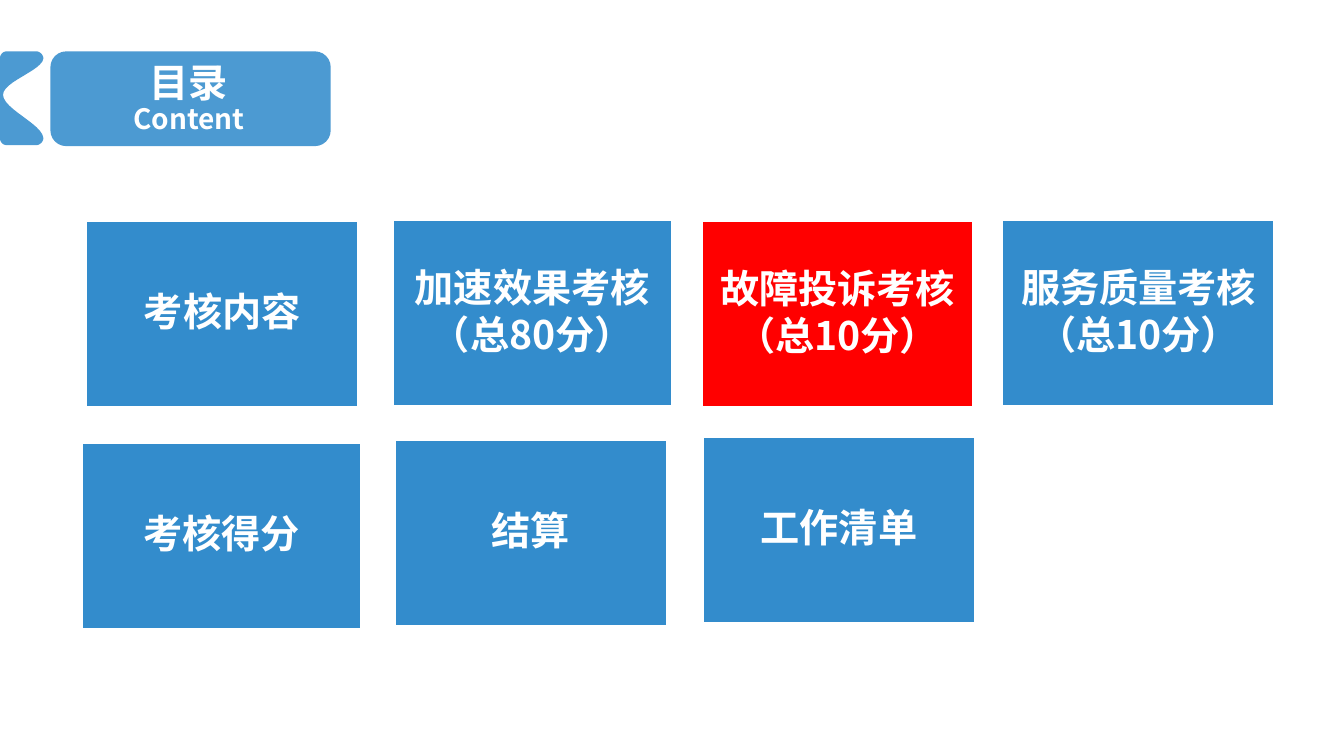
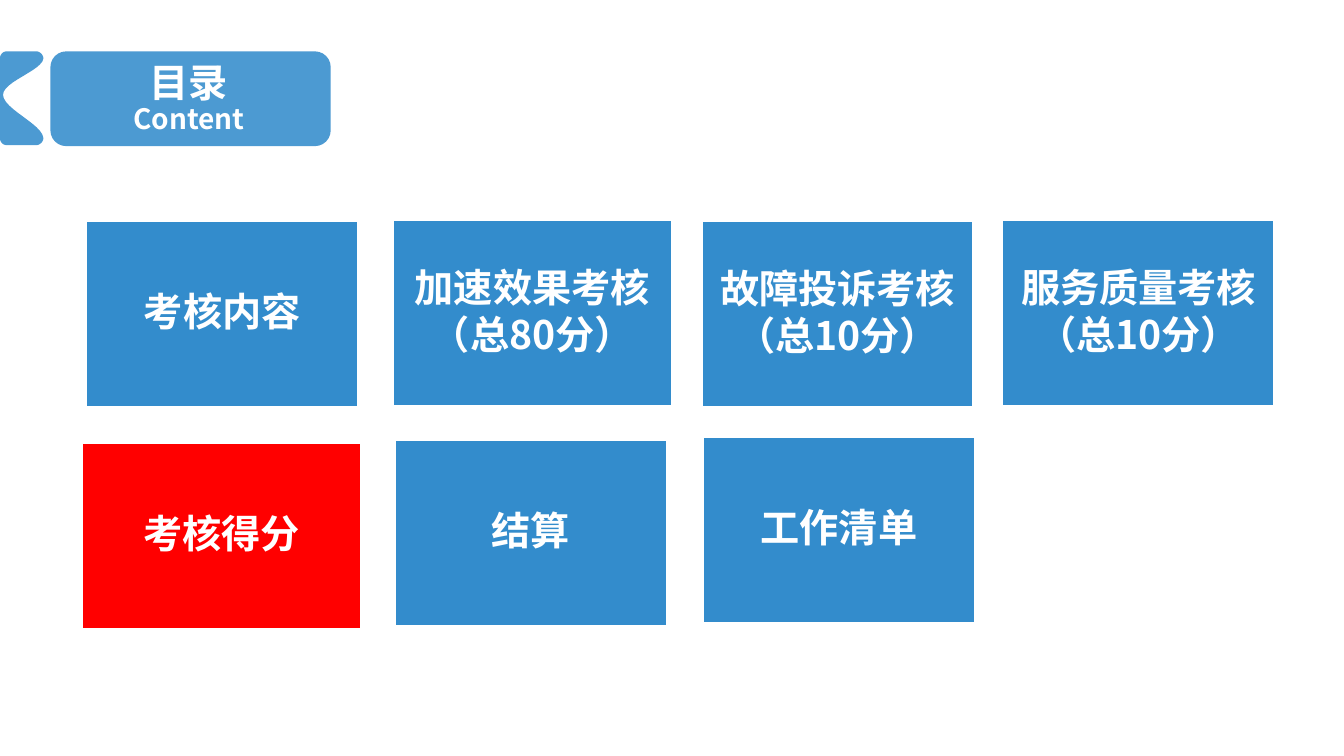
from lxml.etree import SubElement
from pptx import Presentation
from pptx.dml.color import RGBColor
from pptx.enum.shapes import MSO_SHAPE
from pptx.enum.text import MSO_ANCHOR, PP_ALIGN
from pptx.oxml.ns import qn
from pptx.util import Pt

RECT = MSO_SHAPE.RECTANGLE
ROUND = MSO_SHAPE.FLOWCHART_ALTERNATE_PROCESS
MIDDLE = MSO_ANCHOR.MIDDLE
CENTER = PP_ALIGN.CENTER
FONT = "Noto Sans CJK SC"
BLUE, RED, WHITE = "0070C0", "FF0000", "FFFFFF"
hue = RGBColor.from_string


def paint(shape, color, alpha):
    shape.shadow.inherit = False
    shape.line.fill.background()
    shape.fill.solid()
    shape.fill.fore_color.rgb = hue(color)
    tint = shape.element.spPr.find(".//" + qn("a:srgbClr"))
    SubElement(tint, qn("a:alpha"), val=str(alpha * 1000))


def write(para, text, size):
    para.alignment = CENTER
    para.line_spacing = 0.9
    run = para.add_run()
    run.text = text
    style = {"name": FONT, "size": Pt(size), "bold": True}
    for key, value in style.items():
        setattr(run.font, key, value)
    run.font.color.rgb = hue(WHITE)
    SubElement(run.font._element, qn("a:ea"), typeface=FONT)


deck = Presentation()
deck.slide_width, deck.slide_height = Pt(960), Pt(540)
blank = deck.slide_layouts[6]
slides = [deck.slides.add_slide(blank) for _ in range(2)]

draw = slides[0].shapes
badge = draw.add_shape(ROUND, Pt(36), Pt(36.7), Pt(200.2), Pt(67.7))

curves = [
    [(5, 103.7), (2.2, 103.7), (0, 101.5), (0, 98.6)],
    [(0, 41.8), (0, 38.9), (2.2, 36.7), (5, 36.7)],
    [(26, 36.7), (28.1, 36.7), (31, 38.9), (31, 41.8)],
    [(31, 41.8), (30.2, 50.4), (2.2, 58.3), (2.2, 67.7)],
    [(2.2, 67.7), (2.2, 77.8), (30.2, 88.6), (31, 98.6)],
    [(31, 98.6), (31, 101.5), (28.1, 103.7), (26, 103.7)],
]
STEPS = 12
edge = []
for curve in curves:
    for step in range(STEPS + 1):
        t = step / STEPS
        parts = ((1 - t) ** 3, 3 * t * (1 - t) ** 2, 3 * t * t * (1 - t), t ** 3)
        edge.append([Pt(sum(w * p[axis] for w, p in zip(parts, curve)))
                     for axis in (0, 1)])
pen = draw.build_freeform(*edge[0])
pen.add_line_segments(edge[1:], close=True)
notch = pen.convert_to_shape()

for shape in (badge, notch):
    paint(shape, BLUE, 70)
    blank.shapes.element.append(shape.element)

HIGH = 133.2
boxes = [
    ("考核内容", 61.2, 157.7, 195),
    ("加速效果考核\n（总80分）", 280.1, 157, 200.2),
    ("故障投诉考核\n（总10分）", 501.1, 157.7, 194.4),
    ("服务质量考核\n（总10分）", 715.7, 157, 195),
    ("考核得分", 58.3, 316.1, 200.2),
    ("结算", 281.5, 313.9, 195),
    ("工作清单", 501.8, 311.8, 195),
]
inset = {"margin_" + side: Pt(10.8) for side in ("left", "right", "top", "bottom")}
layout = {"word_wrap": True, "vertical_anchor": MIDDLE}

for slide, active in zip(slides, ("故障投诉考核", "考核得分")):
    title = slide.shapes.add_textbox(Pt(37.4), Pt(37.4), Pt(195), Pt(67.7))
    for key, value in {**layout, "margin_top": 0, "margin_bottom": 0}.items():
        setattr(title.text_frame, key, value)
    head = title.text_frame.paragraphs[0]
    write(head, "目录", 28)
    head.add_line_break()
    write(head, "Content", 20)

    for text, left, top, wide in boxes:
        lines = text.split("\n")
        box = slide.shapes.add_shape(RECT, Pt(left), Pt(top), Pt(wide), Pt(HIGH))
        if lines[0] == active:
            paint(box, RED, 100)
        else:
            paint(box, BLUE, 80)
        box.line.color.rgb = hue(WHITE)
        box.line.width = Pt(2)
        frame = box.text_frame
        for key, value in {**layout, **inset}.items():
            setattr(frame, key, value)
        for row, line in enumerate(lines):
            para = frame.add_paragraph() if row else frame.paragraphs[0]
            para.space_after = Pt(3.5)
            write(para, line, 28)

deck.save("out.pptx")
